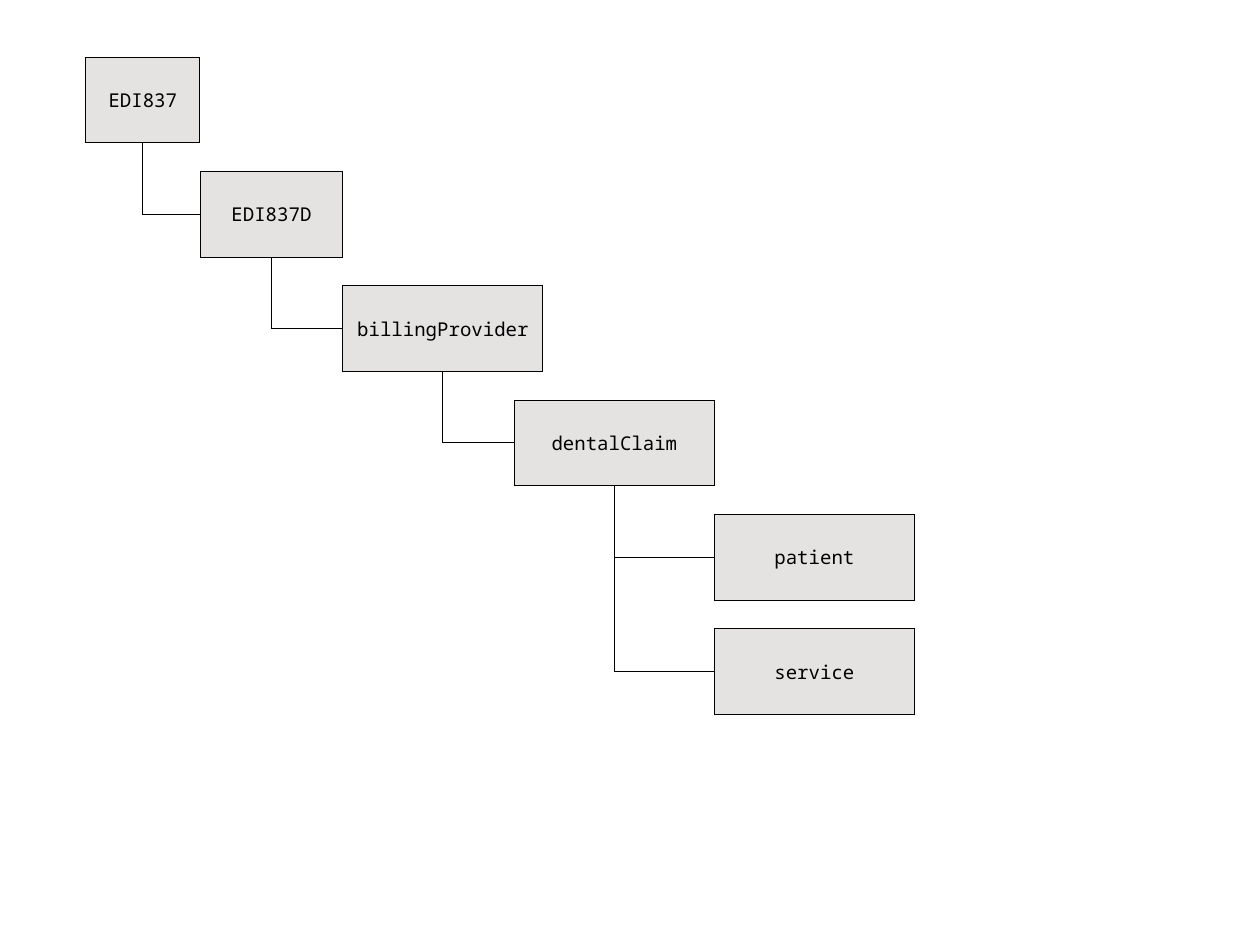
from lxml.etree import SubElement
from pptx import Presentation
from pptx.dml.color import RGBColor
from pptx.enum.shapes import MSO_CONNECTOR as Link, MSO_SHAPE as Shape
from pptx.enum.text import MSO_ANCHOR as Anchor, PP_ALIGN as Align
from pptx.oxml.ns import qn
from pptx.util import Cm, Pt

PX = 9144
COLORS = {"fill": "E5E2E2", "ink": "000000"}
FONT = "Noto Sans Mono"
FIRST_TOP, ROW_STEP, NODE_HEIGHT = 50, 100, 75
BOTTOM, LEFT = 2, 1

NODES = [
    ("EDI837", 75, 100),
    ("EDI837D", 175, 125),
    ("billingProvider", 300, 175),
    ("dentalClaim", 450, 175),
    ("patient", 625, 175),
    ("service", 625, 175),
]
BRANCHES = [
    ("EDI837", "EDI837D"),
    ("EDI837D", "billingProvider"),
    ("billingProvider", "dentalClaim"),
    ("dentalClaim", "service"),
    ("dentalClaim", "patient"),
]


def color(name):
    return RGBColor.from_string(COLORS[name])


def set_hairline(part):
    part.line.color.rgb = color("ink")
    part.element.spPr.find(qn("a:ln")).set("w", "0")


def add_node(slide, label, left, top, width):
    node = slide.shapes.add_shape(
        Shape.RECTANGLE, left * PX, top * PX, width * PX, NODE_HEIGHT * PX
    )
    node.shadow.inherit = False
    node.fill.solid()
    node.fill.fore_color.rgb = color("fill")
    set_hairline(node)
    node.text_frame.vertical_anchor = Anchor.MIDDLE
    caption = node.text_frame.paragraphs[0]
    caption.text = label
    caption.alignment = Align.CENTER
    caption.font.name = FONT
    caption.font.size = Pt(12)
    caption.font.color.rgb = color("ink")
    return node


def add_branch(slide, parent, child):
    start_x = parent.left + parent.width // 2
    start_y = parent.top + parent.height
    run = child.left - start_x
    drop = child.top + child.height // 2 - start_y
    branch = slide.shapes.add_connector(
        Link.ELBOW, start_x, start_y, start_x + run, start_y + drop
    )
    branch.begin_connect(parent, BOTTOM)
    branch.end_connect(child, LEFT)
    set_hairline(branch)

    branch.left = start_x + (run - drop) // 2
    branch.top = start_y + (drop - run) // 2
    branch.width, branch.height = drop, run
    properties = branch.element.spPr
    frame = properties.find(qn("a:xfrm"))
    frame.set("rot", str(270 * 60000))
    frame.set("flipH", "1")
    properties.find(qn("a:prstGeom")).set("prst", "bentConnector2")
    SubElement(properties, qn("a:effectLst"))


def main():
    deck = Presentation()
    deck.slide_width, deck.slide_height = Cm(28), Cm(21)
    slide = deck.slides.add_slide(deck.slide_layouts[6])
    nodes = {
        label: add_node(slide, label, left, FIRST_TOP + row * ROW_STEP, width)
        for row, (label, left, width) in enumerate(NODES)
    }
    for parent, child in BRANCHES:
        add_branch(slide, nodes[parent], nodes[child])
    deck.save("out.pptx")


if __name__ == "__main__":
    main()
